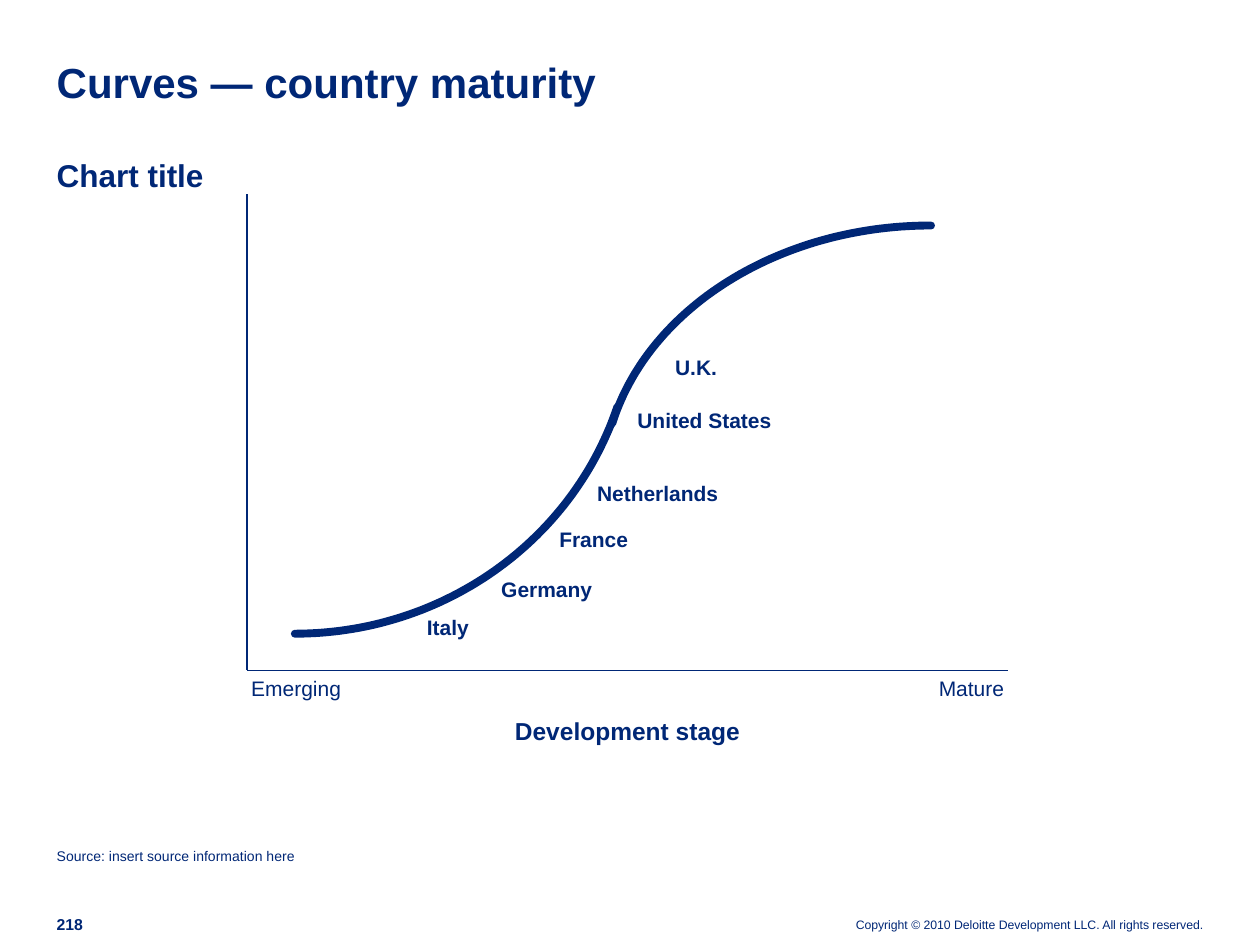
from typing import NamedTuple

from pptx import Presentation
from pptx.dml.color import RGBColor
from pptx.enum.shapes import MSO_CONNECTOR
from pptx.enum.text import MSO_ANCHOR, MSO_AUTO_SIZE, PP_ALIGN as Align
from pptx.oxml.ns import qn
from pptx.util import Inches, Pt

COLORS = {"navy": "002776", "white": "FFFFFF"}
FONT = "Arial"
CURVE_STEPS = 60


class Label(NamedTuple):
    text: str
    left: float
    top: float
    width: float
    height: float
    size: int = 12
    bold: bool = False
    align: Align = Align.LEFT
    spacing: float = 1.0
    wrap: bool = True
    anchor: MSO_ANCHOR = MSO_ANCHOR.TOP
    inset: tuple[float, float] = (0, 0)


class Curve(NamedTuple):
    start: tuple[float, float]
    control1: tuple[float, float]
    control2: tuple[float, float]
    end: tuple[float, float]


class Axis(NamedTuple):
    start: tuple[float, float]
    end: tuple[float, float]


def country(text: str, left: float, top: float, width: float) -> Label:
    return Label(text, left, top, width, 0.28, bold=True, spacing=0.9,
                 wrap=False, inset=(0.1, 0.05))


def axis_label(text: str, left: float, top: float, width: float, height: float,
               size: int = 12, bold: bool = False) -> Label:
    return Label(text, left, top, width, height, size, bold, Align.CENTER, 0.9, False)


TITLE = Label("Curves — country maturity", 0.45, 0.49, 9.11, 0.36, 24, True,
              spacing=Pt(26), anchor=MSO_ANCHOR.BOTTOM)

LABELS = [
    axis_label("Emerging", 1.99, 5.38, 0.72, 0.18),
    axis_label("Mature", 7.45, 5.38, 0.52, 0.18),
    axis_label("Development stage", 4.07, 5.71, 1.82, 0.21, 14, True),
    country("Netherlands", 4.64, 3.79, 1.17),
    country("United States", 4.96, 3.21, 1.28),
    country("U.K.", 5.26, 2.79, 0.54),
    country("France", 4.34, 4.15, 0.75),
    country("Italy", 3.29, 4.85, 0.54),
    country("Germany", 3.88, 4.55, 0.93),
    Label("Source: insert source information here", 0.45, 6.73, 4.37, 0.14, 8),
    Label("Chart title", 0.45, 1.24, 2.14, 0.3, 18, True),
    Label("218", 0.45, 7.26, 0.29, 0.15, 9, True, anchor=MSO_ANCHOR.BOTTOM),
    Label("Copyright © 2010 Deloitte Development LLC. All rights reserved.",
          6.52, 7.28, 3.03, 0.12, 7, align=Align.RIGHT, anchor=MSO_ANCHOR.BOTTOM),
]

CURVES = [
    Curve((4.9, 3.23), (4.54, 4.3), (3.51, 5.03), (2.34, 5.03)),
    Curve((4.86, 3.36), (5.15, 2.44), (6.19, 1.79), (7.39, 1.79)),
]

ORIGIN = (1.96, 5.32)
AXES = [Axis((1.96, 1.54), ORIGIN), Axis(ORIGIN, (8, 5.32))]


def color(name: str) -> RGBColor:
    return RGBColor.from_string(COLORS[name])


def write_label(sp, label: Label) -> None:
    sp.left, sp.top = Inches(label.left), Inches(label.top)
    sp.width, sp.height = Inches(label.width), Inches(label.height)
    tf = sp.text_frame
    tf.text = label.text
    tf.word_wrap = label.wrap
    tf.auto_size = MSO_AUTO_SIZE.NONE
    tf.vertical_anchor = label.anchor
    tf.margin_left = tf.margin_right = Inches(label.inset[0])
    tf.margin_top = tf.margin_bottom = Inches(label.inset[1])
    p = tf.paragraphs[0]
    p.alignment = label.align
    p.line_spacing = label.spacing
    p.space_before = Pt(0)
    font = p.runs[0].font
    font.name = FONT
    font.size = Pt(label.size)
    font.bold = label.bold
    font.color.rgb = color("navy")


def add_label(s, label: Label) -> None:
    write_label(s.shapes.add_textbox(0, 0, 0, 0), label)


def curve_point(curve: Curve, t: float) -> tuple[int, int]:
    u = 1 - t
    weights = (u**3, 3 * u**2 * t, 3 * u * t**2, t**3)
    x, y = (sum(w * v for w, v in zip(weights, values)) for values in zip(*curve))
    return Inches(x), Inches(y)


def add_curve(s, curve: Curve) -> None:
    points = [curve_point(curve, i / CURVE_STEPS) for i in range(CURVE_STEPS + 1)]
    builder = s.shapes.build_freeform(*points[0])
    builder.add_line_segments(points[1:], close=False)
    sp = builder.convert_to_shape()
    sp.shadow.inherit = False
    sp.fill.background()
    sp.line.color.rgb = color("navy")
    sp.line.width = Pt(4.5)
    sp.element.spPr.find(qn("a:ln")).set("cap", "rnd")


def add_axis(s, axis: Axis) -> None:
    line = s.shapes.add_connector(
        MSO_CONNECTOR.STRAIGHT, *map(Inches, axis.start + axis.end))
    line.line.color.rgb = color("navy")
    line.line.width = Pt(0.75)
    spPr = line.element.spPr
    spPr.append(spPr.makeelement(qn("a:effectLst"), {}))


def main() -> None:
    prs = Presentation()
    prs.slide_width, prs.slide_height = Inches(10), Inches(7.5)
    s = prs.slides.add_slide(prs.slide_layouts[5])
    s.background.fill.solid()
    s.background.fill.fore_color.rgb = color("white")
    write_label(s.shapes.title, TITLE)
    for curve in CURVES:
        add_curve(s, curve)
    for axis in AXES:
        add_axis(s, axis)
    for label in LABELS:
        add_label(s, label)
    prs.save("out.pptx")


if __name__ == "__main__":
    main()
